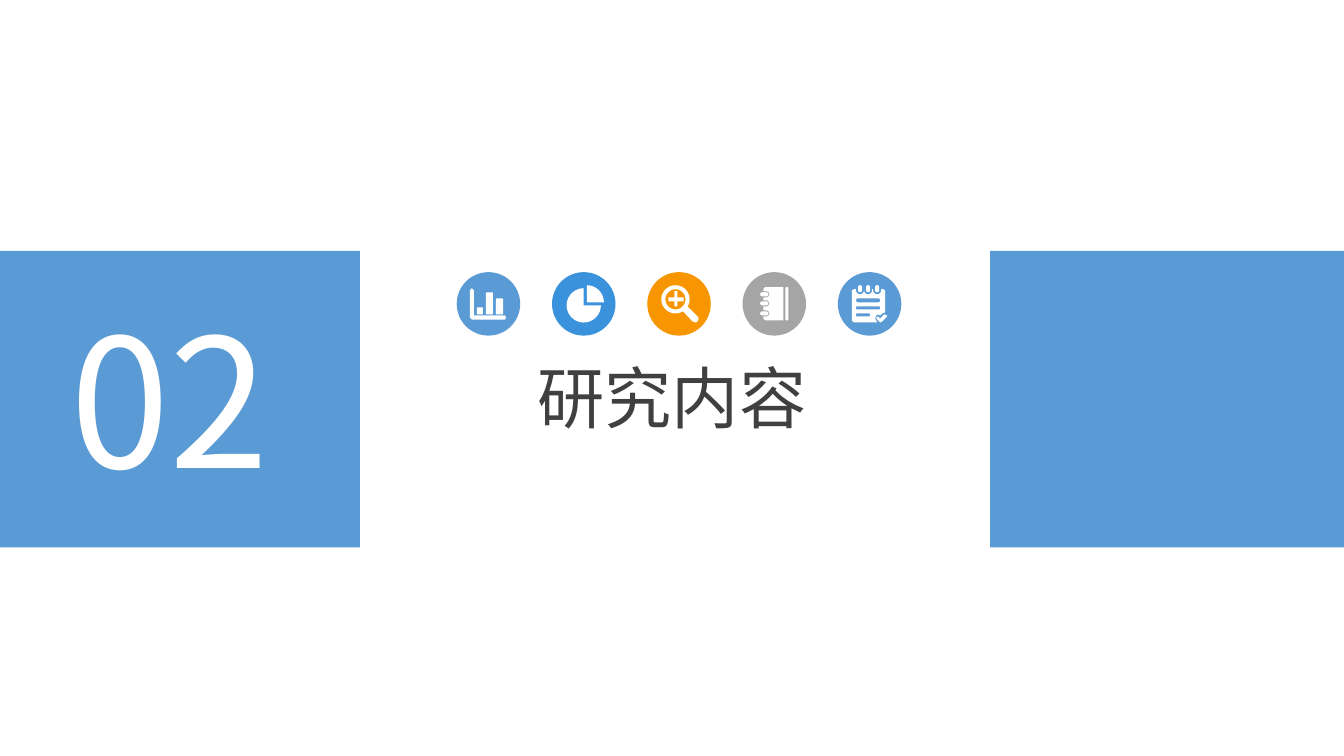
from math import cos, radians, sin

from lxml.etree import SubElement
from pptx import Presentation
from pptx.dml.color import RGBColor
from pptx.enum.shapes import MSO_SHAPE as Shape
from pptx.enum.text import MSO_AUTO_SIZE as AutoSize, PP_ALIGN as Align
from pptx.oxml.ns import qn
from pptx.util import Inches, Pt

FONT = "Noto Sans CJK SC"
BLUE = "5B9BD5"
WHITE = "FFFFFF"


def paint(shape, color):
    shape.fill.solid()
    shape.fill.fore_color.rgb = RGBColor.from_string(color)
    shape.line.fill.background()
    shape.shadow.inherit = False


def arc(x, y, radius, start, end):
    steps = max(6, abs(end - start) // 10)
    angles = [radians(start + (end - start) * i / steps) for i in range(steps + 1)]
    return [(x + radius * cos(a), y + radius * sin(a)) for a in angles]


prs = Presentation()
prs.slide_width, prs.slide_height = Inches(13.33), Inches(7.5)
slide = prs.slides.add_slide(prs.slide_layouts[6])

for left in (0, 9.82):
    band = slide.shapes.add_shape(
        Shape.RECTANGLE, Inches(left), Inches(2.49), Inches(3.57), Inches(2.94))
    paint(band, BLUE)

headings = [
    ("02", (0.6, 2.82, 2.28, 2.25), 128, WHITE, Align.LEFT),
    ("研究内容", (5.23, 3.49, 2.87, 0.91), 48, "404040", Align.CENTER),
]
for wording, place, size, color, align in headings:
    heading = slide.shapes.add_textbox(*map(Inches, place))
    frame = heading.text_frame
    for name, value in {"word_wrap": False, "auto_size": AutoSize.SHAPE_TO_FIT_TEXT}.items():
        setattr(frame, name, value)
    paragraph = frame.paragraphs[0]
    paragraph.alignment = align
    run = paragraph.add_run()
    run.text = wording
    for name, value in {"name": FONT, "size": Pt(size)}.items():
        setattr(run.font, name, value)
    run.font.color.rgb = RGBColor.from_string(color)
    SubElement(run._r.get_or_add_rPr(), qn("a:ea"), typeface=FONT)

axes = [(4.66, 2.88), (4.68, 2.86), (4.7, 2.88), (4.7, 3.13), (5.01, 3.13),
        (5.02, 3.15), (5.01, 3.17), (4.68, 3.17), (4.66, 3.15)]
bars = [(4.73, 3.05, 4.79, 3.12, 0.01), (4.82, 2.9, 4.89, 3.12, 0.01),
        (4.92, 2.96, 4.99, 3.12, 0.01)]

slice_out = [(5.82, 3)] + arc(5.82, 3, 0.17, -90, 0)
pie = [(5.79, 3.03)] + arc(5.79, 3.03, 0.17, 0, 270)

magnifier = arc(6.7, 2.97, 0.14, 58, 391) + [
    (6.92, 3.14), (6.93, 3.16), (6.92, 3.19), (6.9, 3.2), (6.87, 3.19)]
lens = arc(6.7, 2.97, 0.1, 0, 360)
plus = [(6.69, 2.89), (6.72, 2.89), (6.72, 2.95), (6.78, 2.95), (6.78, 2.99), (6.72, 2.99),
        (6.72, 3.04), (6.69, 3.04), (6.69, 2.99), (6.63, 2.99), (6.63, 2.95), (6.69, 2.95)]

notebook = [(7.59, 2.85), (7.77, 2.85), (7.77, 3.18), (7.59, 3.18), (7.57, 3.16)]
notebook_boxes = [(7.79, 2.85, 7.82, 3.18, 0.01)]
for y in (3.11, 3.01, 2.92):
    notebook += [(7.57, y + 0.03)] + arc(7.6, y, 0.03, 90, -90) + [(7.57, y - 0.03)]
    notebook_boxes.append((7.54, y - 0.02, 7.62, y + 0.02, 0.02))
notebook.append((7.57, 2.87))

notepad = [(8.78, 2.88), (8.78, 3.1), (8.75, 3.11), (8.73, 3.13), (8.71, 3.12), (8.69, 3.13),
           (8.68, 3.16), (8.7, 3.2), (8.47, 3.2), (8.45, 3.18), (8.45, 2.88), (8.47, 2.87)]
notepad_boxes = [(8.49, 2.96, 8.73, 3, 0.02), (8.49, 3.04, 8.73, 3.07, 0.01),
                 (8.49, 3.11, 8.63, 3.14, 0.01)]
for x in (8.53, 8.61, 8.7):
    notepad += [(x - 0.04, 2.87)] + arc(x, 2.88, 0.04, 180, 0) + [(x + 0.04, 2.87)]
    notepad_boxes.append((x - 0.02, 2.83, x + 0.02, 2.9, 0.02))
notepad.append((8.76, 2.87))
tick = [(8.79, 3.15), (8.75, 3.19), (8.73, 3.2), (8.72, 3.19), (8.7, 3.17), (8.69, 3.15),
        (8.71, 3.14), (8.73, 3.16), (8.77, 3.12), (8.8, 3.13)]

icons = [
    (BLUE, [axes], bars),
    ("3992DB", [slice_out, pie], []),
    ("F79600", [magnifier, lens, plus], []),
    ("A5A5A5", [notebook], notebook_boxes),
    (BLUE, [notepad, tick], notepad_boxes),
]
for index, (color, outlines, boxes) in enumerate(icons):
    icon = slide.shapes.add_group_shape().shapes
    disc = icon.add_shape(
        Shape.OVAL, Inches(4.53 + 0.945 * index), Inches(2.7), Inches(0.63), Inches(0.63))
    paint(disc, color)

    rounded = [
        arc(left + r, top + r, r, 180, 270) + arc(right - r, top + r, r, 270, 360)
        + arc(right - r, bottom - r, r, 0, 90) + arc(left + r, bottom - r, r, 90, 180)
        for left, top, right, bottom, r in boxes
    ]
    contours = [[(Inches(x), Inches(y)) for x, y in points] for points in outlines + rounded]
    symbol = icon.build_freeform(*contours[0][0])
    symbol.add_line_segments(contours[0][1:])
    for contour in contours[1:]:
        symbol.move_to(*contour[0])
        symbol.add_line_segments(contour[1:])
    paint(symbol.convert_to_shape(), WHITE)

prs.save("out.pptx")
